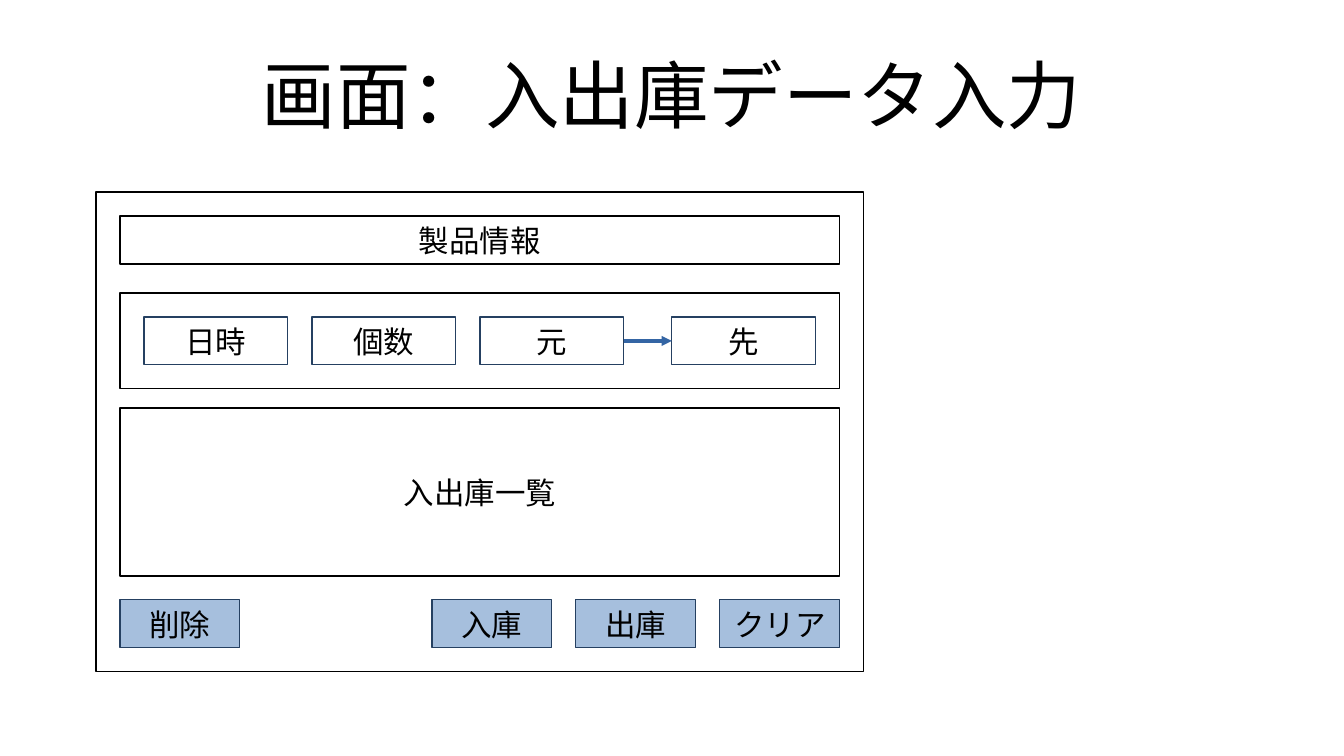
import pptx
import pptx.util
import pptx.dml.color
import pptx.enum.shapes
import pptx.enum.text
import pptx.oxml.ns
from lxml import etree

Pt = pptx.util.Pt
RGBColor = pptx.dml.color.RGBColor
qn = pptx.oxml.ns.qn

TITLE = "画面：入出庫データ入力"
# label, top, height
PANELS = [("製品情報", 127.56, 28.35), ("", 173, 56.69), ("入出庫一覧", 241, 99.21)]
# label, gap before the field in units
FIELDS = [("日時", 1), ("個数", 1), ("元", 1), ("先", 2)]
LEFT_KEY = "削除"
RIGHT_KEYS = ["入庫", "出庫", "クリア"]

BLACK = RGBColor(0x00, 0x00, 0x00)
NAVY = RGBColor(0x25, 0x40, 0x61)
BLUE = RGBColor(0x4F, 0x81, 0xBD)
ARROW = RGBColor(0x34, 0x65, 0xA4)

UNIT = 14.17  # five millimetres
ROW = 2 * UNIT
FRAME_X, FRAME_Y = 4 * UNIT, 8 * UNIT
FRAME_W, FRAME_H = 32 * UNIT, 20 * UNIT
LEFT = FRAME_X + UNIT
WIDTH = FRAME_W - 2 * UNIT
FIELD_W, KEY_W = 6 * UNIT, 5 * UNIT
FIELD_Y = PANELS[1][1] + UNIT
KEY_Y = FRAME_Y + FRAME_H - UNIT - ROW


def write(frame, text, size):
    frame.vertical_anchor = pptx.enum.text.MSO_ANCHOR.MIDDLE
    para = frame.paragraphs[0]
    para.alignment = pptx.enum.text.PP_ALIGN.CENTER
    run = para.add_run()
    run.text = text
    run.font.size = Pt(size)
    run.font.name = "Arial"
    run.font.color.rgb = BLACK


def add_box(slide, text, x, y, w, h, edge, fill=None):
    box = slide.shapes.add_shape(
        pptx.enum.shapes.MSO_SHAPE.RECTANGLE, Pt(x), Pt(y), Pt(w), Pt(h))
    box.shadow.inherit = False
    box.line.color.rgb = edge
    box.line.width = Pt(0)
    if fill is None:
        box.fill.background()
    else:
        box.fill.solid()
        box.fill.fore_color.rgb = fill
        tint = box.fill._xPr.find(".//" + qn("a:srgbClr"))
        etree.SubElement(tint, qn("a:alpha"), val="50000")
    if text:
        write(box.text_frame, text, 18)


def add_arrow(slide, start, end, y):
    line = slide.shapes.add_connector(
        pptx.enum.shapes.MSO_CONNECTOR.STRAIGHT, Pt(start), Pt(y), Pt(end), Pt(y))
    line.line.color.rgb = ARROW
    line.line.width = Pt(0)
    etree.SubElement(line.line._get_or_add_ln(), qn("a:tailEnd"), type="triangle")
    etree.SubElement(line._element.spPr, qn("a:effectLst"))


def main():
    deck = pptx.Presentation()
    deck.slide_width, deck.slide_height = Pt(793.7), Pt(446.46)
    slide = deck.slides.add_slide(deck.slide_layouts[5])

    title = slide.shapes.title
    title.left, title.top = Pt(39.6), Pt(18)
    title.width, title.height = Pt(714.3), Pt(74.2)
    frame = title.text_frame
    frame.margin_left = frame.margin_right = 0
    frame.margin_top = frame.margin_bottom = 0
    write(frame, TITLE, 44)

    add_box(slide, "", FRAME_X, FRAME_Y, FRAME_W, FRAME_H, BLACK)
    for text, y, height in PANELS:
        add_box(slide, text, LEFT, y, WIDTH, height, BLACK)

    x = LEFT
    for text, gap in FIELDS:
        x += gap * UNIT
        add_box(slide, text, x, FIELD_Y, FIELD_W, ROW, NAVY)
        x += FIELD_W
    target = x - FIELD_W
    add_arrow(slide, target - FIELDS[-1][1] * UNIT, target, FIELD_Y + ROW / 2)

    add_box(slide, LEFT_KEY, LEFT, KEY_Y, KEY_W, ROW, NAVY, BLUE)
    first = LEFT + WIDTH + UNIT - len(RIGHT_KEYS) * (KEY_W + UNIT)
    for i, text in enumerate(RIGHT_KEYS):
        add_box(slide, text, first + i * (KEY_W + UNIT), KEY_Y, KEY_W, ROW, NAVY, BLUE)

    deck.save("out.pptx")


if __name__ == "__main__":
    main()
